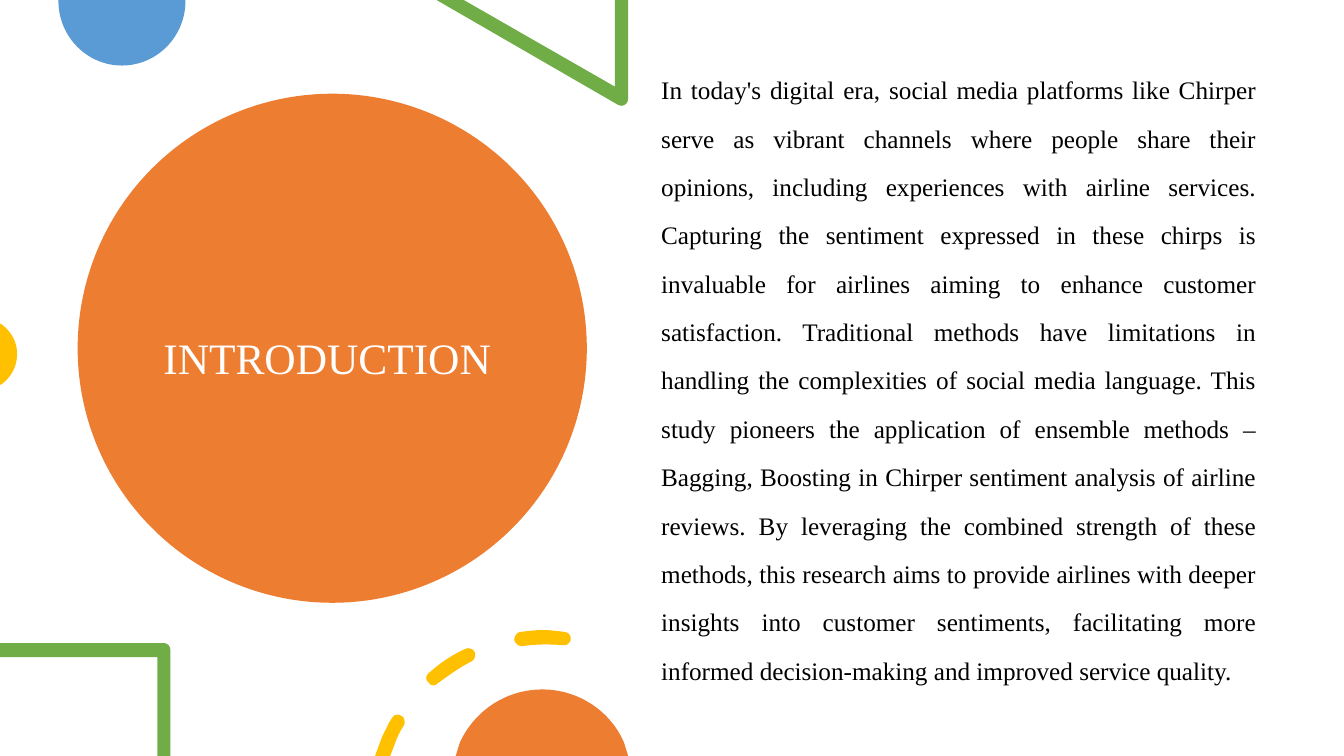
from lxml import etree
from pptx import Presentation
from pptx.dml.color import RGBColor
from pptx.enum.shapes import MSO_SHAPE
from pptx.enum.text import MSO_ANCHOR, MSO_AUTO_SIZE, PP_ALIGN
from pptx.oxml.ns import qn
from pptx.util import Inches, Pt

THEME = {
    "font": "Times New Roman",
    "title_size": 31,
    "body_size": 18,
    "white": "FFFFFF",
    "black": "000000",
    "orange": "ED7D31",
    "blue": "5B9BD5",
    "green": "70AD47",
    "yellow": "FFC000",
}

TITLE = "INTRODUCTION"
TITLE_BOX = (1.52, 1.35, 3.54, 4.45)
BODY = (
    "In today's digital era, social media platforms like Chirper serve as vibrant "
    "channels where people share their opinions, including experiences with airline "
    "services. Capturing the sentiment expressed in these chirps is invaluable for "
    "airlines aiming to enhance customer satisfaction. Traditional methods have "
    "limitations in handling the complexities of social media language. This study "
    "pioneers the application of ensemble methods – Bagging, Boosting in Chirper "
    "sentiment analysis of airline reviews. By leveraging the combined strength of "
    "these methods, this research aims to provide airlines with deeper insights into "
    "customer sentiments, facilitating more informed decision-making and improved "
    "service quality."
)
BODY_BOX = (6.46, 0.51, 6.1, 6.37)
TITLE_DISC = (0.77, 0.93, 5.05, 5.05)

# Each outline starts at a point; two numbers draw a line, six a Bezier curve.
DECORATIONS = [
    ("blue", [[(1.84, 0), (0.58, 0), (0.58, 0.01),
               (0.58, 0.36, 0.86, 0.65, 1.21, 0.65),
               (1.56, 0.65, 1.84, 0.36, 1.84, 0.01)]]),
    ("green", [[(6.23, 0), (6.1, 0), (6.1, 0.86), (4.6, 0), (4.33, 0), (6.13, 1.04),
                (6.14, 1.05, 6.15, 1.05, 6.16, 1.05),
                (6.2, 1.05, 6.23, 1.02, 6.23, 0.98)]]),
    ("yellow", [[(0, 3.21), (0, 3.82), (0.02, 3.81),
                 (0.11, 3.74, 0.17, 3.64, 0.17, 3.51),
                 (0.17, 3.39, 0.11, 3.29, 0.02, 3.22)]]),
    ("green", [[(1.63, 6.38), (0, 6.38), (0, 6.52), (1.56, 6.52), (1.56, 7.5),
                (1.69, 7.5), (1.69, 6.45),
                (1.69, 6.41, 1.66, 6.38, 1.63, 6.38)]]),
    ("yellow", [
        [(3.95, 7.09), (3.93, 7.08, 3.9, 7.1, 3.89, 7.12),
         (3.85, 7.18, 3.82, 7.25, 3.79, 7.31), (3.72, 7.5), (3.87, 7.5), (3.92, 7.37),
         (3.94, 7.31, 3.97, 7.25, 4.01, 7.19),
         (4.02, 7.16, 4.01, 7.11, 3.98, 7.1),
         (3.97, 7.09, 3.96, 7.09, 3.95, 7.09)],
        [(4.64, 6.43), (4.63, 6.43, 4.62, 6.43, 4.61, 6.44),
         (4.48, 6.5, 4.36, 6.58, 4.25, 6.68),
         (4.22, 6.7, 4.22, 6.75, 4.25, 6.77),
         (4.26, 6.79, 4.28, 6.8, 4.3, 6.8),
         (4.32, 6.8, 4.33, 6.79, 4.34, 6.78),
         (4.45, 6.7, 4.56, 6.62, 4.68, 6.56),
         (4.71, 6.54, 4.72, 6.5, 4.71, 6.47),
         (4.69, 6.44, 4.67, 6.43, 4.64, 6.43)],
        [(5.38, 6.25), (5.31, 6.25, 5.24, 6.26, 5.16, 6.27),
         (5.13, 6.27, 5.1, 6.31, 5.1, 6.35),
         (5.11, 6.38, 5.14, 6.41, 5.17, 6.41),
         (5.18, 6.41, 5.18, 6.41, 5.18, 6.41),
         (5.32, 6.39, 5.45, 6.39, 5.58, 6.4),
         (5.62, 6.41, 5.65, 6.38, 5.66, 6.35),
         (5.67, 6.31, 5.64, 6.27, 5.6, 6.27),
         (5.53, 6.26, 5.45, 6.25, 5.38, 6.25)],
    ]),
    ("orange", [[(5.38, 6.84), (5.01, 6.84, 4.7, 7.06, 4.56, 7.37), (4.52, 7.5),
                 (6.23, 7.5), (6.19, 7.37),
                 (6.06, 7.06, 5.74, 6.84, 5.38, 6.84)]]),
]


def color(name):
    return RGBColor.from_string(THEME[name])


def paint(shape, fill):
    shape.shadow.inherit = False
    shape.fill.solid()
    shape.fill.fore_color.rgb = color(fill)
    shape.line.fill.background()


def bend(shape, segments):
    """Turn the straight sides that stand for six-number segments into curves."""
    sides = list(shape.element.iter(qn("a:lnTo")))
    for side, segment in zip(sides, segments):
        if len(segment) == 2:
            continue
        curve = etree.Element(qn("a:cubicBezTo"))
        for x, y in zip(segment[::2], segment[1::2]):
            etree.SubElement(curve, qn("a:pt"), x=str(Inches(x) - shape.left),
                             y=str(Inches(y) - shape.top))
        side.getparent().replace(side, curve)


def add_decoration(shapes, fill, outlines):
    builder = None
    for start, *segments in outlines:
        origin = tuple(map(Inches, start))
        if builder is None:
            builder = shapes.build_freeform(*origin)
        else:
            builder.move_to(*origin)
        ends = [tuple(map(Inches, segment[-2:])) for segment in segments]
        builder.add_line_segments(ends, close=True)
    shape = builder.convert_to_shape()
    bend(shape, [segment for outline in outlines for segment in outline[1:]])
    paint(shape, fill)


def write(shape, text, size, ink, frame_format, paragraph_format):
    frame = shape.text_frame
    frame.text = text
    paragraph = frame.paragraphs[0]
    font = {"name": THEME["font"], "size": Pt(THEME[size])}
    for target, values in ((frame, frame_format), (paragraph, paragraph_format),
                           (paragraph.runs[0].font, font)):
        for attribute, value in values.items():
            setattr(target, attribute, value)
    paragraph.runs[0].font.color.rgb = color(ink)


def main():
    deck = Presentation()
    deck.slide_width, deck.slide_height = Inches(13.33), Inches(7.5)
    slide = deck.slides.add_slide(deck.slide_layouts[5])
    shapes = slide.shapes

    disc = shapes.add_shape(MSO_SHAPE.OVAL, *map(Inches, TITLE_DISC))
    paint(disc, "orange")

    title = shapes.title
    for side, length in zip(("left", "top", "width", "height"), TITLE_BOX):
        setattr(title, side, Inches(length))
    wrapped = {"word_wrap": True, "auto_size": MSO_AUTO_SIZE.NONE}
    write(title, TITLE, "title_size", "white",
          {**wrapped, "vertical_anchor": MSO_ANCHOR.MIDDLE},
          {"alignment": PP_ALIGN.LEFT, "line_spacing": 0.9})
    disc.element.addnext(title.element)  # the title sits in front of its disc

    for fill, outlines in DECORATIONS:
        add_decoration(shapes, fill, outlines)

    body = shapes.add_textbox(*map(Inches, BODY_BOX))
    write(body, BODY, "body_size", "black",
          {**wrapped, "vertical_anchor": MSO_ANCHOR.TOP},
          {"alignment": PP_ALIGN.JUSTIFY, "line_spacing": 1.6, "space_before": Pt(10)})

    deck.save("out.pptx")


if __name__ == "__main__":
    main()
